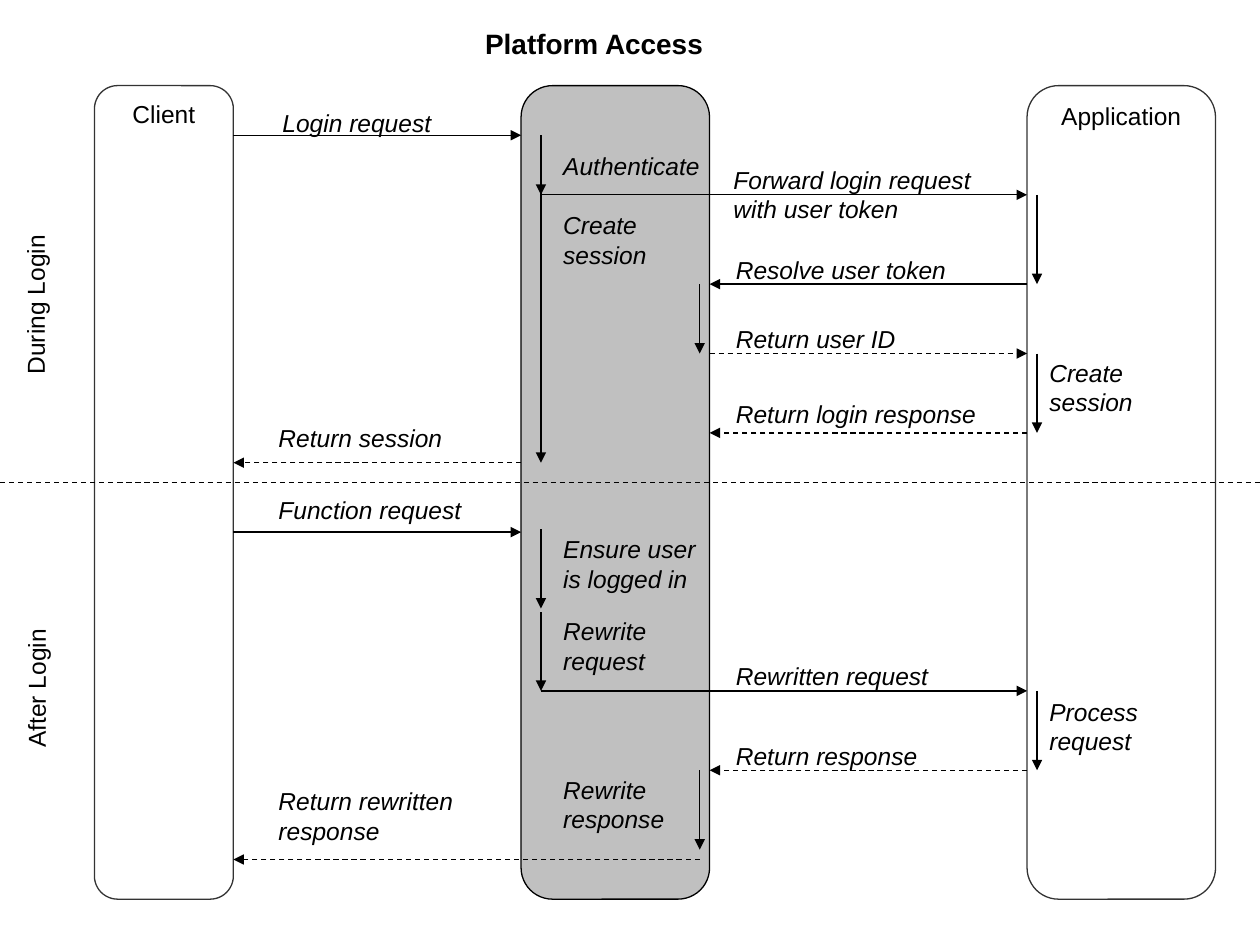
from lxml import etree
from pptx import Presentation
from pptx.dml.color import RGBColor
from pptx.enum.dml import MSO_LINE
from pptx.enum.shapes import MSO_CONNECTOR, MSO_SHAPE
from pptx.enum.text import MSO_ANCHOR, MSO_AUTO_SIZE, PP_ALIGN
from pptx.oxml.ns import qn
from pptx.util import Inches, Mm, Pt

DASH = MSO_LINE.DASH
STRAIGHT = MSO_CONNECTOR.STRAIGHT
ROUND = MSO_SHAPE.ROUNDED_RECTANGLE
TOP, MIDDLE = MSO_ANCHOR.TOP, MSO_ANCHOR.MIDDLE
GROW, FIXED = MSO_AUTO_SIZE.SHAPE_TO_FIT_TEXT, MSO_AUTO_SIZE.NONE
LEFT, CENTER = PP_ALIGN.LEFT, PP_ALIGN.CENTER
color = RGBColor.from_string

CELL = Mm(2)
EDGE, HEAD = Inches(0.75), Inches(0.68)
ONE, TWO = 4.3, 7.2


def spot(col, row):
    return EDGE + round(col * CELL), HEAD + round(row * CELL)


def write(shape, text, size=14, bold=False, italic=False,
          align=LEFT, anchor=TOP, fit=GROW, wrap=False):
    frame = shape.text_frame
    frame.text = text
    frame.word_wrap = wrap
    frame.auto_size = fit
    frame.vertical_anchor = anchor
    for para in frame.paragraphs:
        para.alignment = align
        font = para.font
        font.name, font.size = "Arial", Pt(size)
        font.bold, font.italic = bold, italic
        font.color.rgb = color("000000")


deck = Presentation()
deck.slide_width, deck.slide_height = Inches(10), Inches(7.5)
slide = deck.slides.add_slide(deck.slide_layouts[5])
shapes = slide.shapes

title = shapes.title
title.left, title.top = Inches(3.37), Inches(0.16)
title.width, title.height = Inches(2.69), Inches(0.37)
write(title, "Platform Access", 16, bold=True, align=CENTER, anchor=MIDDLE)

lanes = [
    (43, 19, "C0C0C0", "000000", ""),
    (94, 19, "FFFFFF", "333333", "Application"),
    (0, 14, "FFFFFF", "333333", "Client"),
]
for col, span, fill, edge, name in lanes:
    lane = shapes.add_shape(ROUND, *spot(col, 0), span * CELL, 82 * CELL)
    lane.shadow.inherit = False
    lane.fill.solid()
    lane.fill.fore_color.rgb = color(fill)
    lane.line.color.rgb = color(edge)
    lane.line.width = Pt(0.75)
    if name:
        write(lane, name, align=CENTER, fit=FIXED)

calls = [
    (14, 43, 5), (45, 94, 11), (94, 62, 20), (14, 43, 45), (45, 94, 61),
]
replies = [
    (62, 94, 27), (94, 62, 35), (43, 14, 38), (94, 62, 69), (61, 14, 78),
]
steps = [
    (45, 5, 11), (45, 10, 38), (95, 11, 20), (61, 20, 27), (95, 27, 35),
    (45, 44.7, 52.7), (45, 53.1, 61), (95, 61, 69), (61, 69, 77),
]
lines = [(*spot(a, row), *spot(b, row), False, True) for a, b, row in calls]
lines += [(*spot(a, row), *spot(b, row), True, True) for a, b, row in replies]
lines += [(*spot(col, a), *spot(col, b), False, True) for col, a, b in steps]
split = HEAD + 40 * CELL
lines.append((0, split, deck.slide_width, split, True, False))
for *ends, dashed, arrow in lines:
    line = shapes.add_connector(STRAIGHT, *ends)
    line.line.color.rgb = color("000000")
    line.line.width = Pt(0.75)
    if dashed:
        line.line.dash_style = DASH
    if arrow:
        etree.SubElement(line.line._get_or_add_ln(), qn("a:tailEnd"), type="triangle")
    etree.SubElement(line._element.spPr, qn("a:effectLst"))

labels = [
    (17.7, 1.65, 18, ONE, False, "Login request"),
    (46, 6, 20, ONE, True, "Authenticate"),
    (63.15, 7.35, 27, TWO, False, "Forward login request\vwith user token"),
    (46, 11.95, 20, TWO, True, "Create \vsession"),
    (63.4, 16.4, 24.5, ONE, False, "Resolve user token"),
    (63.4, 23.4, 19.5, ONE, False, "Return user ID"),
    (95, 26.8, 17.3, TWO, True, "Create\nsession"),
    (63.4, 31, 27.5, ONE, False, "Return login response"),
    (17.3, 33.4, 19.5, ONE, False, "Return session"),
    (17.3, 40.65, 21.5, ONE, False, "Function request"),
    (46, 44.6, 16.5, TWO, False, "Ensure user\nis logged in"),
    (46, 52.85, 11.5, TWO, False, "Rewrite\nrequest"),
    (63.4, 57.4, 22.5, ONE, False, "Rewritten request"),
    (95, 61, 17.3, TWO, True, "Process request"),
    (63.4, 65.45, 21.5, ONE, False, "Return response"),
    (46, 68.85, 13.5, TWO, False, "Rewrite\nresponse"),
    (17.3, 70, 20.8, TWO, False, "Return rewritten\nresponse"),
]
for col, row, wide, high, wrap, text in labels:
    box = shapes.add_textbox(*spot(col, row), round(wide * CELL), round(high * CELL))
    write(box, text, italic=True, wrap=wrap)

phases = [(-14.45, 19.7, 17, "During Login"), (-13.35, 58.35, 15, "After Login")]
for col, row, wide, text in phases:
    box = shapes.add_textbox(*spot(col, row), round(wide * CELL), round(ONE * CELL))
    box.rotation = 270
    write(box, text)

deck.save("out.pptx")
